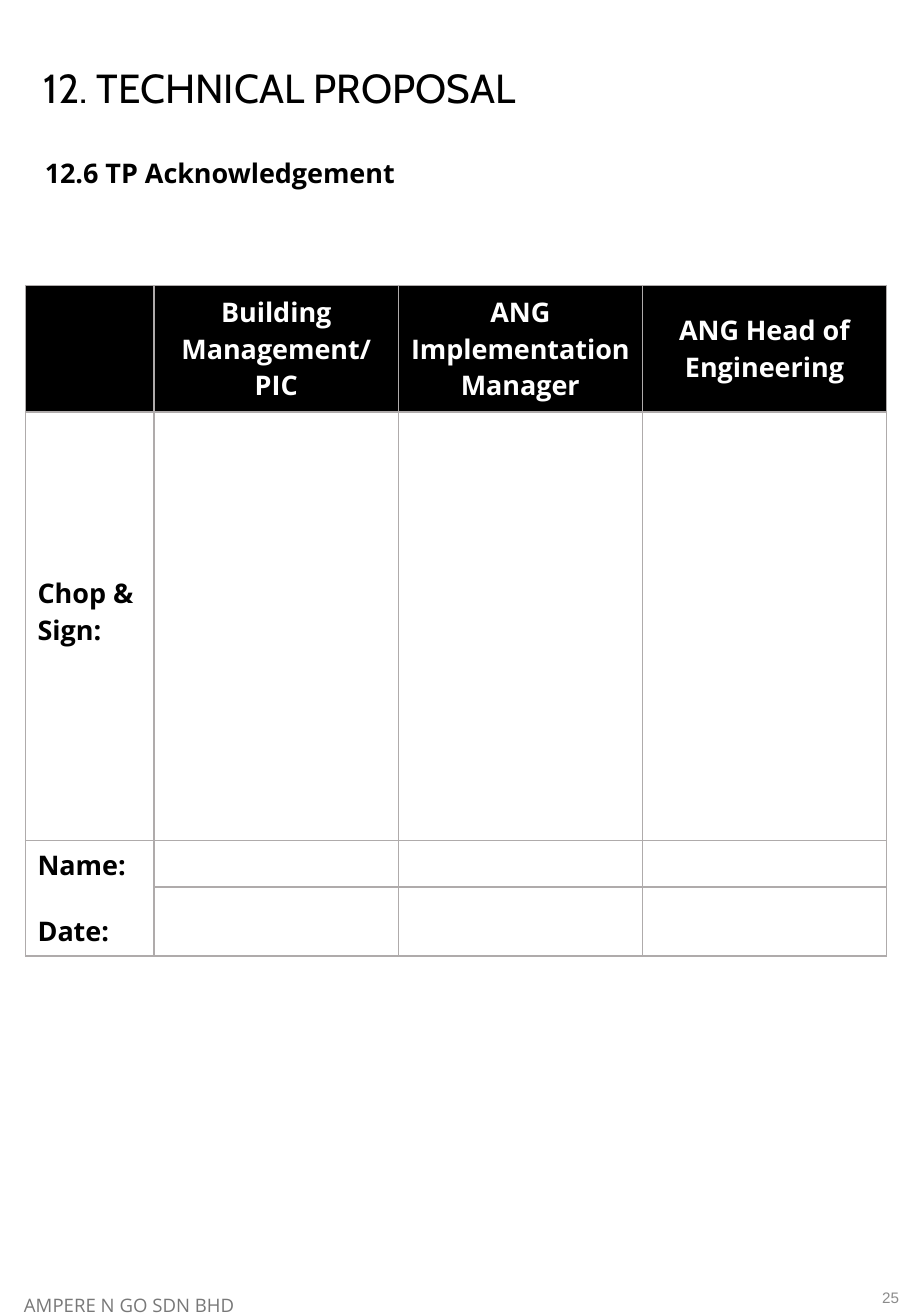
import dataclasses

import lxml.etree
import pptx
import pptx.dml.color
import pptx.enum.text
import pptx.oxml.ns
import pptx.util

RGB = pptx.dml.color.RGBColor.from_string
ALIGN = pptx.enum.text.PP_ALIGN
MIDDLE = pptx.enum.text.MSO_ANCHOR.MIDDLE
Pt = pptx.util.Pt
Inches = pptx.util.Inches


@dataclasses.dataclass(frozen=True)
class Theme:
    ink: str = "000000"
    paper: str = "FFFFFF"
    line: str = "AFABAB"
    foot: str = "787878"
    page: str = "8B8B8B"
    head_font: str = "Cabin"
    body_font: str = "Open Sans"
    page_font: str = "Arial"
    head_size: float = 24
    body_size: float = 16
    foot_size: float = 11
    page_size: float = 9
    rule: float = 0.96


def apply(item, values):
    for key, value in values.items():
        setattr(item, key, value)


class Sheet:
    """Draws on one slide; lengths are percentages of its width and height."""

    def __init__(self, deck, theme):
        self.deck, self.theme = deck, theme
        self.slide = deck.slides.add_slide(deck.slide_layouts[5])

    def wide(self, share):
        return round(self.deck.slide_width * share / 100)

    def high(self, share):
        return round(self.deck.slide_height * share / 100)

    def area(self, left, top, width, height):
        return self.wide(left), self.high(top), self.wide(width), self.high(height)

    def put_text(self, frame, lines, color, form, para):
        frame.word_wrap = True
        for num, line in enumerate(lines):
            item = frame.add_paragraph() if num else frame.paragraphs[0]
            apply(item, para)
            run = item.add_run()
            run.text = line
            apply(run.font, form)
            run.font.color.rgb = RGB(color)
        return frame

    def title(self, text, box):
        shape = self.slide.shapes.title
        apply(shape, dict(zip(("left", "top", "width", "height"), self.area(*box))))
        form = {"name": self.theme.head_font, "size": Pt(self.theme.head_size)}
        para = {"alignment": ALIGN.LEFT, "line_spacing": 0.9}
        frame = self.put_text(shape.text_frame, [text], self.theme.ink, form, para)
        apply(frame, {"auto_size": pptx.enum.text.MSO_AUTO_SIZE.NONE,
                      "vertical_anchor": MIDDLE})

    def label(self, text, box, color, form, align, anchor=MIDDLE):
        frame = self.slide.shapes.add_textbox(*self.area(*box)).text_frame
        self.put_text(frame, [text], color, form, {"alignment": align})
        frame.vertical_anchor = anchor

    def border(self, cell):
        props = cell._tc.get_or_add_tcPr()
        qn = pptx.oxml.ns.qn
        for side in ("a:lnL", "a:lnR", "a:lnT", "a:lnB"):
            edge = lxml.etree.SubElement(props, qn(side), w=str(Pt(self.theme.rule)))
            fill = lxml.etree.SubElement(edge, qn("a:solidFill"))
            lxml.etree.SubElement(fill, qn("a:srgbClr"), val=self.theme.line)

    def table(self, left, top, cols, rows, heads, sides):
        box = self.area(left, top, sum(cols), sum(rows))
        grid = self.slide.shapes.add_table(len(rows), len(cols), *box).table
        for col, share in zip(grid.columns, cols):
            col.width = self.wide(share)
        for row, share in zip(grid.rows, rows):
            row.height = self.high(share)

        # Plain bordered cells under a dark header
        for num, row in enumerate(grid.rows):
            for cell in row.cells:
                self.border(cell)
                apply(cell, {"vertical_anchor": MIDDLE, "margin_top": Inches(0.02),
                             "margin_bottom": Inches(0.02)})
                if num:
                    cell.fill.background()
                else:
                    cell.fill.solid()
                    cell.fill.fore_color.rgb = RGB(self.theme.ink)

        # Header and side text
        form = {"name": self.theme.body_font, "size": Pt(self.theme.body_size),
                "bold": True}
        for num, text in enumerate(heads, 1):
            self.put_text(grid.cell(0, num).text_frame, [text], self.theme.paper, form,
                          {"alignment": ALIGN.CENTER})
        for num, lines in sides.items():
            frame = grid.cell(num, 0).text_frame
            self.put_text(frame, lines, self.theme.ink, form, {"alignment": ALIGN.LEFT})
            for item in frame.paragraphs[1:]:
                item.space_before = Pt(17.5)
        return grid


def main():
    deck = pptx.Presentation()
    apply(deck, {"slide_width": Inches(7.5), "slide_height": Inches(10.83)})
    theme = Theme()
    sheet = Sheet(deck, theme)

    # Headings
    sheet.title("12. TECHNICAL PROPOSAL", (3.47, 2.95, 80.93, 7.76))
    sheet.label("12.6 TP Acknowledgement", (3.6, 11.45, 46.4, 3.32), theme.ink,
                {"name": theme.body_font, "size": Pt(theme.body_size), "bold": True},
                ALIGN.JUSTIFY, pptx.enum.text.MSO_ANCHOR.TOP)

    # Sign-off table
    grid = sheet.table(
        2.8, 21.7, [14.13] + [26.8] * 3, [9.6, 32.59, 3.51, 5.26],
        ["Building Management/ PIC", "ANG Implementation Manager",
         "ANG Head of Engineering"],
        {1: ["Chop & Sign:"], 2: ["Name:", "Date:"]})
    grid.cell(1, 0).margin_bottom = Inches(0.26)
    grid.cell(2, 0).merge(grid.cell(3, 0))

    # Footer
    sheet.label("AMPERE N GO SDN BHD", (0, 98.34, 28.4, 1.66), theme.foot,
                {"name": theme.body_font, "size": Pt(theme.foot_size)}, ALIGN.CENTER)
    sheet.label("25", (90.27, 97.23, 9.73, 2.77), theme.page,
                {"name": theme.page_font, "size": Pt(theme.page_size)}, ALIGN.RIGHT)

    deck.save("out.pptx")


if __name__ == "__main__":
    main()
